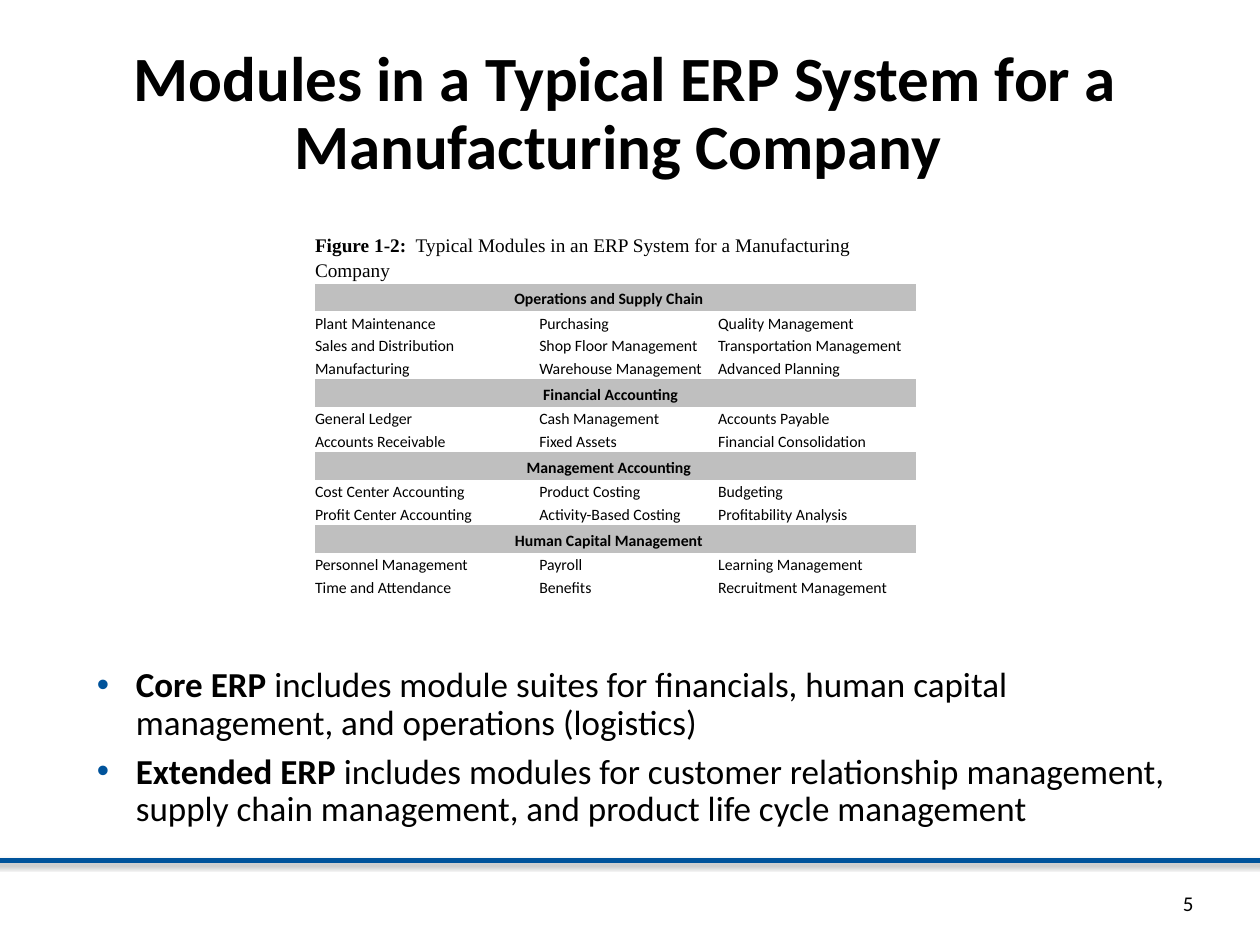
from dataclasses import dataclass

from lxml.etree import SubElement
from pptx import Presentation
from pptx.dml.color import RGBColor
from pptx.enum.shapes import MSO_CONNECTOR
from pptx.enum.text import MSO_ANCHOR, MSO_AUTO_SIZE, PP_ALIGN
from pptx.oxml.ns import qn
from pptx.util import Inches, Pt


@dataclass(frozen=True)
class Theme:
    ink: str = "000000"
    accent: str = "00539B"
    band: str = "BFBFBF"
    paper: str = "FFFFFF"
    font: str = "Calibri"
    caption_font: str = "Times New Roman"
    title_size: int = 36
    body_size: int = 20
    number_size: int = 12
    caption_size: int = 11
    cell_size: int = 9


NO_GRID_STYLE = "{2D5ABB26-0587-4C30-8999-92F81FD0307C}"
CAPTION = [("Figure 1-2: ", True),
           (" Typical Modules in an ERP System for a Manufacturing Company", False)]
MODULES = {
    "Operations and Supply Chain ": [
        ("Plant Maintenance", "Purchasing", "Quality Management"),
        ("Sales and Distribution", "Shop Floor Management", "Transportation Management"),
        ("Manufacturing", "Warehouse Management", "Advanced Planning"),
    ],
    "Financial Accounting": [
        ("General Ledger", "Cash Management", "Accounts Payable"),
        ("Accounts Receivable", "Fixed Assets", "Financial Consolidation"),
    ],
    "Management Accounting ": [
        ("Cost Center Accounting", "Product Costing", "Budgeting"),
        ("Profit Center Accounting", "Activity-Based Costing", "Profitability Analysis"),
    ],
    "Human Capital Management ": [
        ("Personnel Management", "Payroll", "Learning Management"),
        ("Time and Attendance", "Benefits", "Recruitment Management"),
    ],
}
DEFINITIONS = [
    [("Core ERP", True),
     (" includes module suites for financials, human capital management, "
      "and operations (logistics)", False)],
    [("Extended ERP", True),
     (" includes modules for customer relationship management, supply chain "
      "management, and product life cycle management", False)],
]


def write(paragraph, runs, *, size, color, font, align=PP_ALIGN.LEFT,
          spacing=1.0, before=0, after=0):
    paragraph.alignment = align
    paragraph.line_spacing = spacing
    paragraph.space_before = Pt(before)
    paragraph.space_after = Pt(after)
    for words, bold in runs:
        run = paragraph.add_run()
        run.text = words
        run.font.name = font
        run.font.size = Pt(size)
        run.font.bold = bold
        run.font.color.rgb = RGBColor.from_string(color)


def add_bullet(paragraph, color):
    properties = paragraph._p.get_or_add_pPr()
    properties.set("marL", str(Inches(0.31)))
    properties.set("indent", str(Inches(-0.31)))
    bullet_color = SubElement(properties, qn("a:buClr"))
    SubElement(bullet_color, qn("a:srgbClr"), val=color)
    SubElement(properties, qn("a:buFont"), typeface="Arial")
    SubElement(properties, qn("a:buChar"), char="•")


class SlideBuilder:
    def __init__(self, slide, theme):
        self.slide = slide
        self.theme = theme

    def title(self, words, left, top, width, height):
        heading = self.slide.shapes.title
        heading.left, heading.top = Inches(left), Inches(top)
        heading.width, heading.height = Inches(width), Inches(height)
        frame = heading.text_frame
        frame.auto_size = MSO_AUTO_SIZE.NONE
        frame.vertical_anchor = MSO_ANCHOR.MIDDLE
        write(frame.paragraphs[0], [(words, True)], size=self.theme.title_size,
              color=self.theme.ink, font=self.theme.font,
              align=PP_ALIGN.CENTER, spacing=0.9)

    def footer_rule(self, left, right, y):
        rule = self.slide.shapes.add_connector(
            MSO_CONNECTOR.STRAIGHT, Inches(left), Inches(y), Inches(right), Inches(y))
        rule.line.color.rgb = RGBColor.from_string(self.theme.accent)
        rule.line.width = Pt(3)
        effects = SubElement(rule._element.spPr, qn("a:effectLst"))
        shadow = SubElement(effects, qn("a:outerShdw"), blurRad=str(Pt(3.1)),
                            dist=str(Pt(1.8)), dir="5400000", rotWithShape="0")
        shade = SubElement(shadow, qn("a:srgbClr"), val=self.theme.ink)
        SubElement(shade, qn("a:alpha"), val="35000")

    def text(self, paragraphs, left, top, width, height, *,
             anchor=MSO_ANCHOR.TOP, bulleted=False, **style):
        frame = self.slide.shapes.add_textbox(
            Inches(left), Inches(top), Inches(width), Inches(height)).text_frame
        frame.word_wrap = True
        frame.vertical_anchor = anchor
        for index, runs in enumerate(paragraphs):
            paragraph = frame.add_paragraph() if index else frame.paragraphs[0]
            write(paragraph, runs, color=self.theme.ink, font=self.theme.font, **style)
            if bulleted:
                add_bullet(paragraph, self.theme.accent)

    def cell(self, cell, runs, *, fill=None, anchor=MSO_ANCHOR.TOP, **style):
        cell.margin_left = cell.margin_top = cell.margin_bottom = 0
        cell.margin_right = Inches(0.08)
        cell.vertical_anchor = anchor
        if fill:
            cell.fill.solid()
            cell.fill.fore_color.rgb = RGBColor.from_string(fill)
        else:
            cell.fill.background()
        look = {"size": self.theme.cell_size, "font": self.theme.font, **style}
        write(cell.text_frame.paragraphs[0], runs, color=self.theme.ink,
              spacing=1.15, **look)

    def module_table(self, caption, suites, left, top, widths):
        rows = [(0.39, None)]
        for suite, module_rows in suites.items():
            rows.append((0.22, suite))
            rows.extend((0.18, names) for names in module_rows)
        heights = [height for height, _ in rows]
        frame = self.slide.shapes.add_table(
            len(rows), len(widths), Inches(left), Inches(top),
            Inches(sum(widths)), Inches(sum(heights)))
        table = frame.table
        table.first_row = table.horz_banding = False
        table._tbl.tblPr.find(qn("a:tableStyleId")).text = NO_GRID_STYLE
        for column, width in zip(table.columns, widths):
            column.width = Inches(width)

        for index, (height, content) in enumerate(rows):
            table.rows[index].height = Inches(height)
            first = table.cell(index, 0)
            if isinstance(content, tuple):
                for column, name in enumerate(content):
                    self.cell(table.cell(index, column), [(name, False)],
                              fill=self.theme.paper)
                continue
            first.merge(table.cell(index, len(widths) - 1))
            if content is None:
                self.cell(first, caption, anchor=MSO_ANCHOR.MIDDLE, before=6,
                          size=self.theme.caption_size, font=self.theme.caption_font)
            else:
                self.cell(first, [(content, True)], fill=self.theme.band,
                          anchor=MSO_ANCHOR.MIDDLE, align=PP_ALIGN.CENTER)


def main():
    deck = Presentation()
    deck.slide_width, deck.slide_height = Inches(10), Inches(7.5)
    theme = Theme()
    builder = SlideBuilder(deck.slides.add_slide(deck.slide_layouts[5]), theme)
    builder.footer_rule(-0.12, 10.08, 6.83)
    builder.title("Modules in a Typical ERP System for a Manufacturing Company ",
                  0.42, 0.33, 9.08, 1.17)
    builder.text(DEFINITIONS, 0.67, 5.25, 8.83, 1.67, bulleted=True,
                 size=theme.body_size, spacing=0.9, before=3, after=3)
    builder.module_table(CAPTION, MODULES, 2.5, 1.83, [1.78, 1.42, 1.57])
    builder.text([[("5", False)]], 7.32, 6.97, 2.25, 0.4, anchor=MSO_ANCHOR.MIDDLE,
                 size=theme.number_size, align=PP_ALIGN.RIGHT)
    deck.save("out.pptx")


if __name__ == "__main__":
    main()
